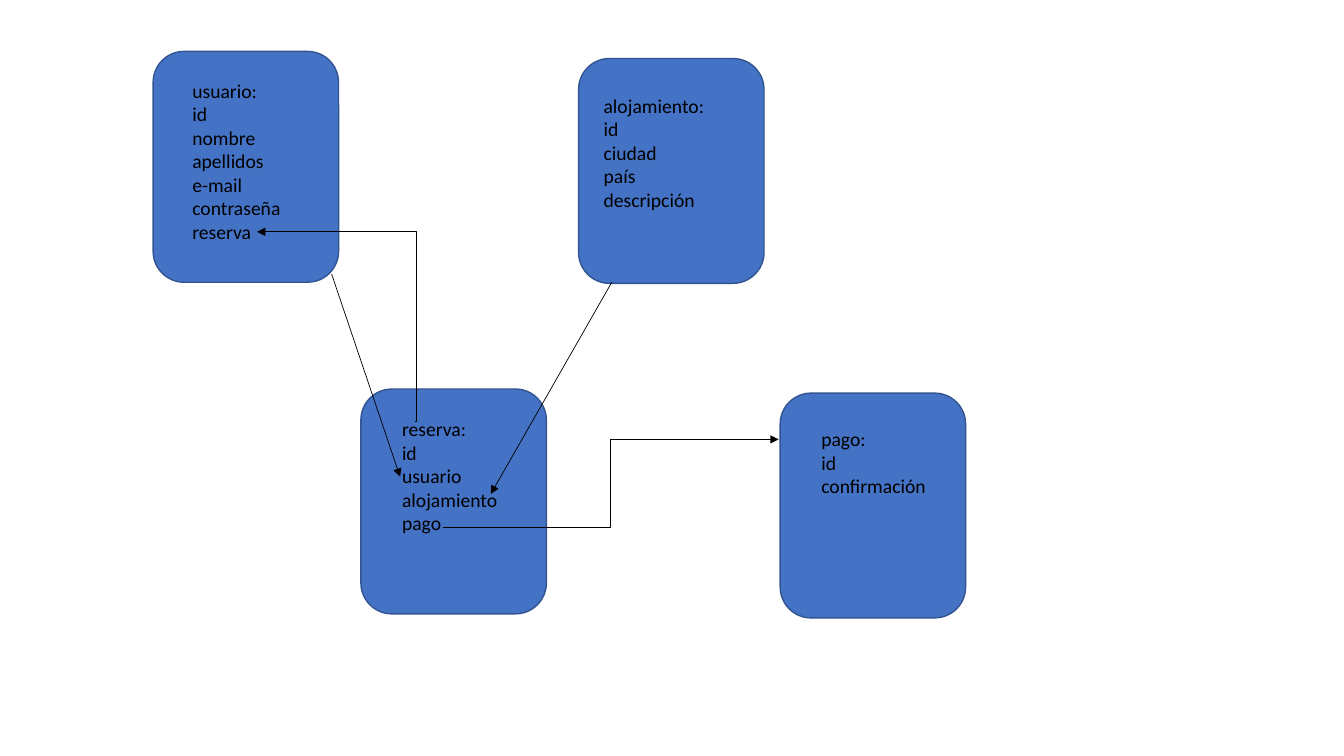
from lxml import etree
from pptx import Presentation
from pptx.dml.color import RGBColor
from pptx.enum.shapes import MSO_CONNECTOR, MSO_SHAPE
from pptx.enum.text import MSO_AUTO_SIZE
from pptx.oxml.ns import qn
from pptx.util import Pt

ROUNDED = MSO_SHAPE.ROUNDED_RECTANGLE
STRAIGHT = MSO_CONNECTOR.STRAIGHT
ELBOW = MSO_CONNECTOR.ELBOW
GROW = MSO_AUTO_SIZE.SHAPE_TO_FIT_TEXT

BOX_WIDTH = 132.5
LINE_HEIGHT = 16.8
INSET = 3.6


def color(hex_text):
    """Turn a hex string into a colour."""
    return RGBColor.from_string(hex_text)


class Diagram:
    """Style and current slide of the entity diagram."""

    font, size = "Calibri", 14
    ink, fill, border = "000000", "4472C4", "325491"

    def __init__(self, slide):
        """Keep the slide to draw on."""
        self.shapes = slide.shapes

    def entity_box(self, left, top, height):
        """Draw the rounded box of an entity."""
        box = self.shapes.add_shape(
            ROUNDED, Pt(left), Pt(top), Pt(BOX_WIDTH), Pt(height))
        box.shadow.inherit = False
        box.fill.solid()
        box.fill.fore_color.rgb = color(self.fill)
        box.line.color.rgb = color(self.border)
        box.line.width = Pt(1)

    def text(self, lines, left, top, width, size=None, ink=None):
        """Write one paragraph per line in a text box."""
        height = len(lines) * LINE_HEIGHT + 2 * INSET
        frame = self.shapes.add_textbox(
            Pt(left), Pt(top), Pt(width), Pt(height)).text_frame
        frame.word_wrap = True
        frame.auto_size = GROW
        frame.text = "\n".join(lines)
        for paragraph in frame.paragraphs:
            for run in paragraph.runs:
                run.font.name = self.font
                run.font.size = Pt(size or self.size)
                run.font.color.rgb = color(ink or self.ink)

    def arrow(self, start, end, kind=STRAIGHT, bend=None):
        """Draw an arrow; bend places the elbow in 1/100000 of its width."""
        link = self.shapes.add_connector(
            kind, *(Pt(value) for value in (*start, *end)))
        link.line.color.rgb = color(self.ink)
        link.line.width = Pt(0.5)
        properties = link._element.spPr
        etree.SubElement(properties.find(qn("a:ln")), qn("a:tailEnd"),
                         type="triangle")
        etree.SubElement(properties, qn("a:effectLst"))
        if bend is not None:
            adjustments = properties.find(qn("a:prstGeom")).get_or_add_avLst()
            etree.SubElement(adjustments, qn("a:gd"),
                             name="adj1", fmla=f"val {bend}")


# Box left, top, height; text left, top, width; lines
ENTITIES = [
    ((109.4, 36.7, 164.9), (130.3, 52.6, 91.4),
     ["usuario:", "id", "nombre", "apellidos", "e-mail", "contraseña",
      "reserva"]),
    ((413.3, 41.8, 160.6), (424.1, 63.4, 110.2),
     ["alojamiento:", "id", "ciudad", "país", "descripción"]),
    ((257.8, 277.9, 160.6), (280.1, 294.5, 86.4),
     ["reserva:", "id", "usuario", "alojamiento", "pago"]),
    ((557.3, 280.8, 160.6), (579.6, 301.7, 91.4),
     ["pago:", "id", "confirmación"]),
]

presentation = Presentation()
presentation.slide_width = Pt(960)
presentation.slide_height = Pt(540)
diagram = Diagram(presentation.slides.add_slide(presentation.slide_layouts[6]))

for box, _, _ in ENTITIES:
    diagram.entity_box(*box)

# usuario and alojamiento feed the fields of reserva
diagram.arrow((236.9, 195.8), (285.8, 340.6))
diagram.arrow((437, 201.6), (350.6, 352.8))

for _, place, fields in ENTITIES:
    diagram.text(fields, *place)

# reserva leads to pago and back to usuario
diagram.arrow((316.4, 376.6), (556.2, 313.9), ELBOW)
diagram.arrow((296.8, 301), (183.6, 165.6), ELBOW, bend=-300)

presentation.save("out.pptx")
